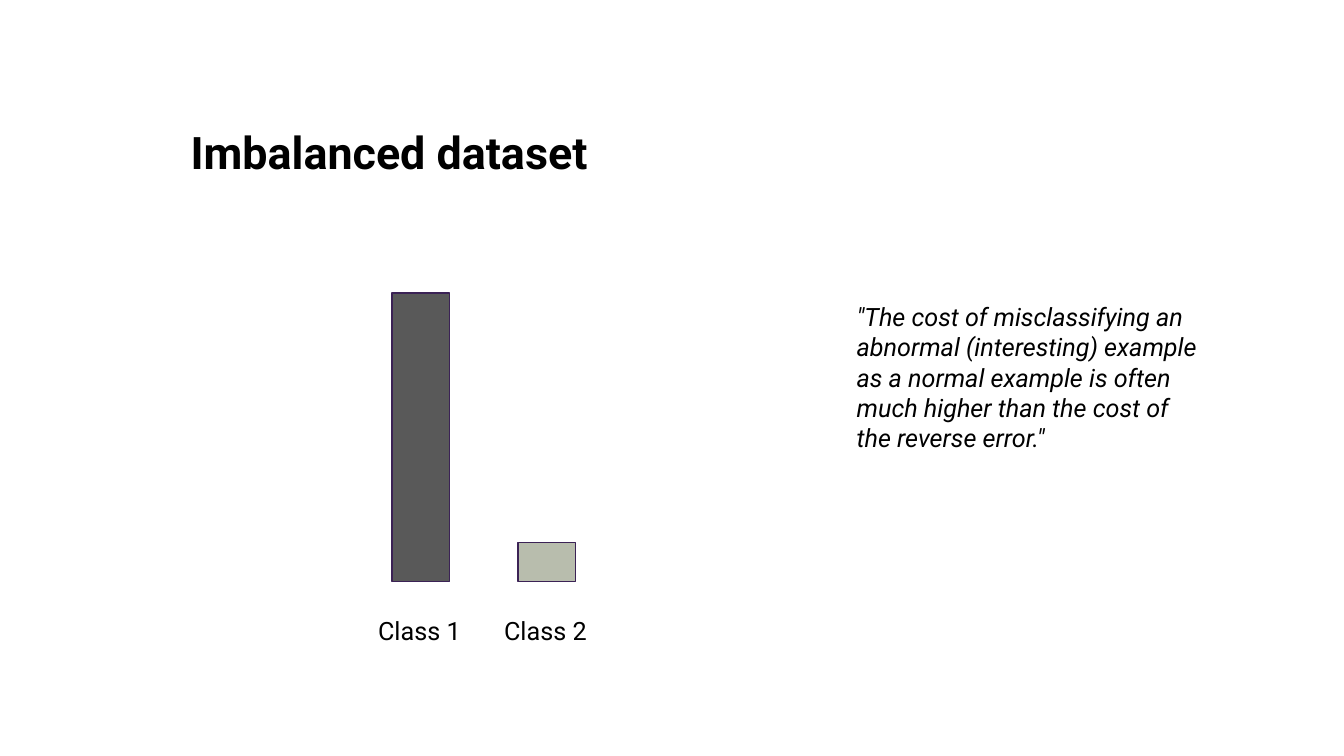
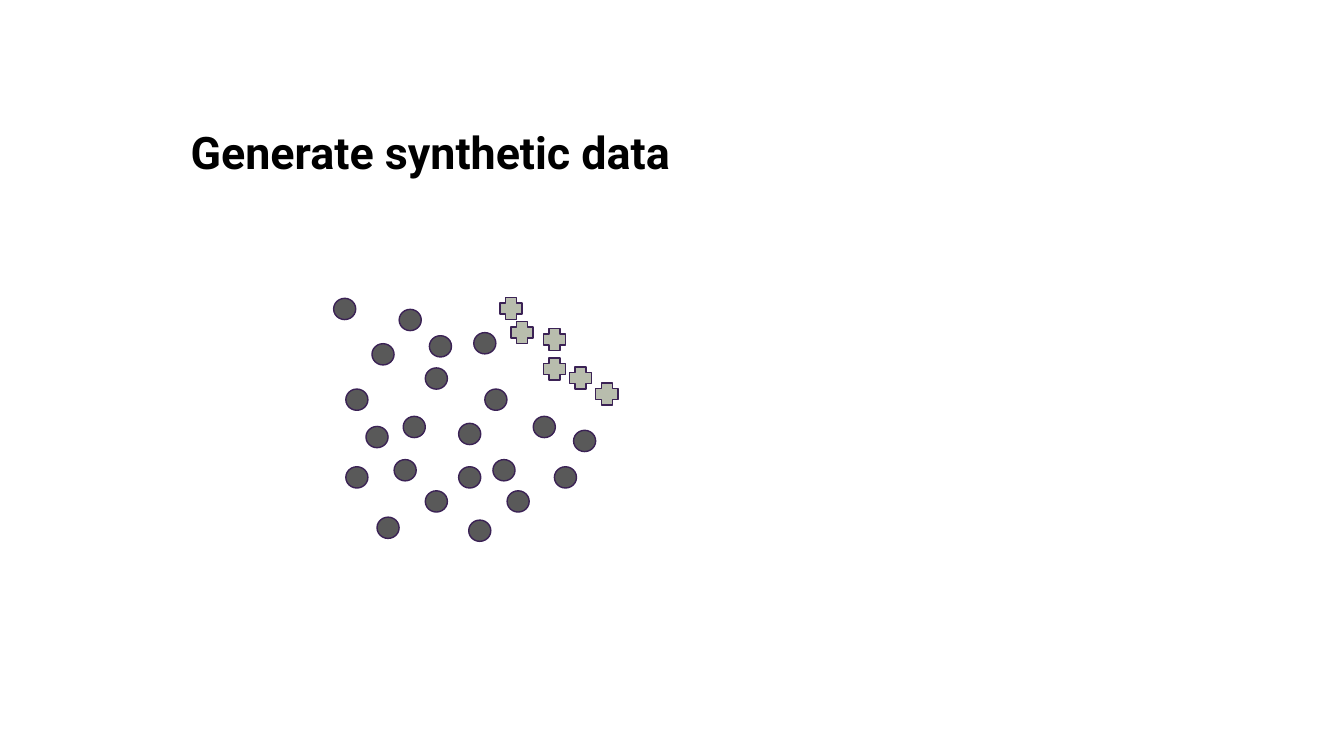
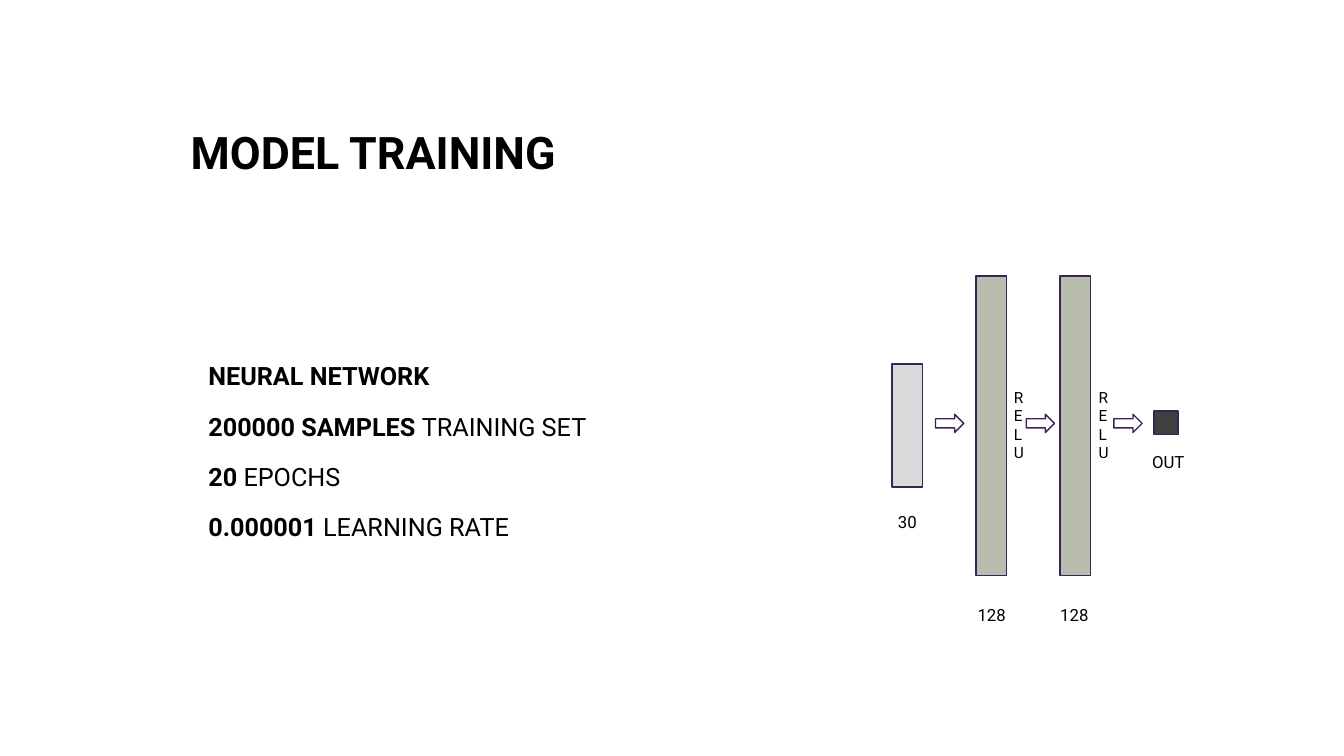
from pptx import Presentation
from pptx.dml.color import RGBColor
from pptx.enum.shapes import MSO_SHAPE
from pptx.enum.text import MSO_ANCHOR, MSO_AUTO_SIZE, PP_ALIGN
from pptx.util import Pt

# Shared style
FONT = "Roboto"
BLACK = RGBColor(0x00, 0x00, 0x00)
WHITE = RGBColor(0xFF, 0xFF, 0xFF)
DARK = RGBColor(0x59, 0x59, 0x59)
CHARCOAL = RGBColor(0x40, 0x40, 0x40)
SAGE = RGBColor(0xB8, 0xBD, 0xAD)
LIGHT = RGBColor(0xD9, 0xD9, 0xD9)
OUTLINE = RGBColor(0x3B, 0x22, 0x55)
TITLE_BOX = (129, 54, 702, 108)
TITLE_FORMAT = {"size": Pt(32), "bold": True}

# Slide 1: class bars (label, left, height, fill) and quote
BARS = [("Class 1", 280, 206, DARK), ("Class 2", 370, 28, SAGE)]
BAR_W, BAR_BASE = 41, 415.4
QUOTE = ('"The cost of misclassifying an abnormal (interesting) example as a normal '
         'example is often much higher than the cost of the reverse error."')

# Slide 2: left and top of each sample
MAJORITY = [
    (238.3, 213.1), (265.7, 245.5), (285.1, 221), (247, 277.9), (303.8, 262.8),
    (288, 297.4), (247, 333.4), (338.4, 237.6), (327.6, 302.4), (352.1, 328.3),
    (346.3, 277.9), (303.8, 350.6), (334.8, 371.5), (281.5, 328.3), (269.3, 369.4),
    (327.6, 333.4), (261.4, 304.6), (306.7, 239.8), (380.9, 297.4), (362.2, 350.6),
    (396, 333.4), (409.7, 307.4),
]
MINORITY = [(357.1, 212.4), (388.1, 255.6), (425.5, 273.6),
            (388.1, 234.7), (406.8, 262.1), (365, 229.7)]
SAMPLES = [(MSO_SHAPE.OVAL, DARK, 15.8, 15.2, MAJORITY),
           (MSO_SHAPE.CROSS, SAGE, 15.8, 15.8, MINORITY)]

# Slide 3: bold and plain part of each fact, then the network
FACTS = [("NEURAL NETWORK", ""), ("200000 SAMPLES ", "TRAINING SET"),
         ("20 ", "EPOCHS"), ("0.000001 ", "LEARNING RATE")]
# left, centre height, width, height, fill, label, label left, label top, label width
LAYERS = [
    (637.2, 304, 21.8, 88, LIGHT, "30", 634.3, 362.2, 34.6),
    (697, 304, 21.8, 214, SAGE, "128", 691.2, 428.4, 42.5),
    (757.2, 304, 21.8, 214, SAGE, "128", 750.2, 428.4, 42.5),
    (824.2, 302, 17.4, 16.6, CHARCOAL, "OUT", 815.8, 319, 60.5),
]
ARROW_LEFTS = [668.2, 733, 795.6]
ARROW_W, ARROW_H, ARROW_MID = 20.2, 13, 302.4
RELU_LEFTS = [717.1, 777.6]


def add_run(p, text, **fmt):
    r = p.add_run()
    r.text = text
    r.font.color.rgb = BLACK
    for name, value in {"name": FONT, **fmt}.items():
        setattr(r.font, name, value)


def add_text(s, box, text="", **fmt):
    tf = s.shapes.add_textbox(*map(Pt, box)).text_frame
    tf.word_wrap = True
    if text:
        add_run(tf.paragraphs[0], text, **fmt)
    return tf


def add_figure(s, kind, box, fill):
    sp = s.shapes.add_shape(kind, *map(Pt, box))
    sp.shadow.inherit = False
    sp.fill.solid()
    sp.fill.fore_color.rgb = fill
    sp.line.color.rgb = OUTLINE
    sp.line.width = Pt(1)


def add_slide(prs, title):
    s = prs.slides.add_slide(prs.slide_layouts[5])
    sp = s.shapes.title
    sp.left, sp.top, sp.width, sp.height = map(Pt, TITLE_BOX)
    tf = sp.text_frame
    tf.vertical_anchor = MSO_ANCHOR.MIDDLE
    tf.auto_size = MSO_AUTO_SIZE.NONE
    p = tf.paragraphs[0]
    p.alignment = PP_ALIGN.LEFT
    add_run(p, title, **TITLE_FORMAT)
    return s


def build_imbalance(prs):
    s = add_slide(prs, "Imbalanced dataset")
    for label, left, height, fill in BARS:
        add_figure(s, MSO_SHAPE.RECTANGLE, (left, BAR_BASE - height, BAR_W, height), fill)
        add_text(s, (left - 17, 436.3, 76.3, 29), label, size=Pt(18))
    add_text(s, (604.8, 211.7, 257.8, 116.6), QUOTE, size=Pt(18), italic=True)


def build_synthetic(prs):
    s = add_slide(prs, "Generate synthetic data")
    for kind, fill, width, height, points in SAMPLES:
        for left, top in points:
            add_figure(s, kind, (left, top, width, height), fill)


def build_training(prs):
    s = add_slide(prs, "MODEL TRAINING")
    # Facts
    tf = add_text(s, (141.8, 249.8, 703.4, 141.8))
    for i, (strong, plain) in enumerate(FACTS):
        p = tf.add_paragraph() if i else tf.paragraphs[0]
        p.line_spacing = 1.2
        p.space_before = Pt(10)
        add_run(p, strong, size=Pt(18), bold=True)
        if plain:
            add_run(p, plain, size=Pt(18))
    # Layers with their sizes
    for left, mid, width, height, fill, label, label_left, label_top, label_w in LAYERS:
        add_figure(s, MSO_SHAPE.RECTANGLE, (left, mid - height / 2, width, height), fill)
        add_text(s, (label_left, label_top, label_w, 21.6), label, size=Pt(12))
    # Arrows between layers
    for left in ARROW_LEFTS:
        add_figure(s, MSO_SHAPE.RIGHT_ARROW,
                   (left, ARROW_MID - ARROW_H / 2, ARROW_W, ARROW_H), WHITE)
    # Activations, in boxes narrow enough for one letter a line
    for left in RELU_LEFTS:
        tf = add_text(s, (left, 273.6, 14.4, 60.5), "RELU", size=Pt(11))
        tf.margin_right = 0


def main():
    prs = Presentation()
    prs.slide_width, prs.slide_height = Pt(960), Pt(540)
    for build in (build_imbalance, build_synthetic, build_training):
        build(prs)
    prs.save("out.pptx")


if __name__ == "__main__":
    main()
